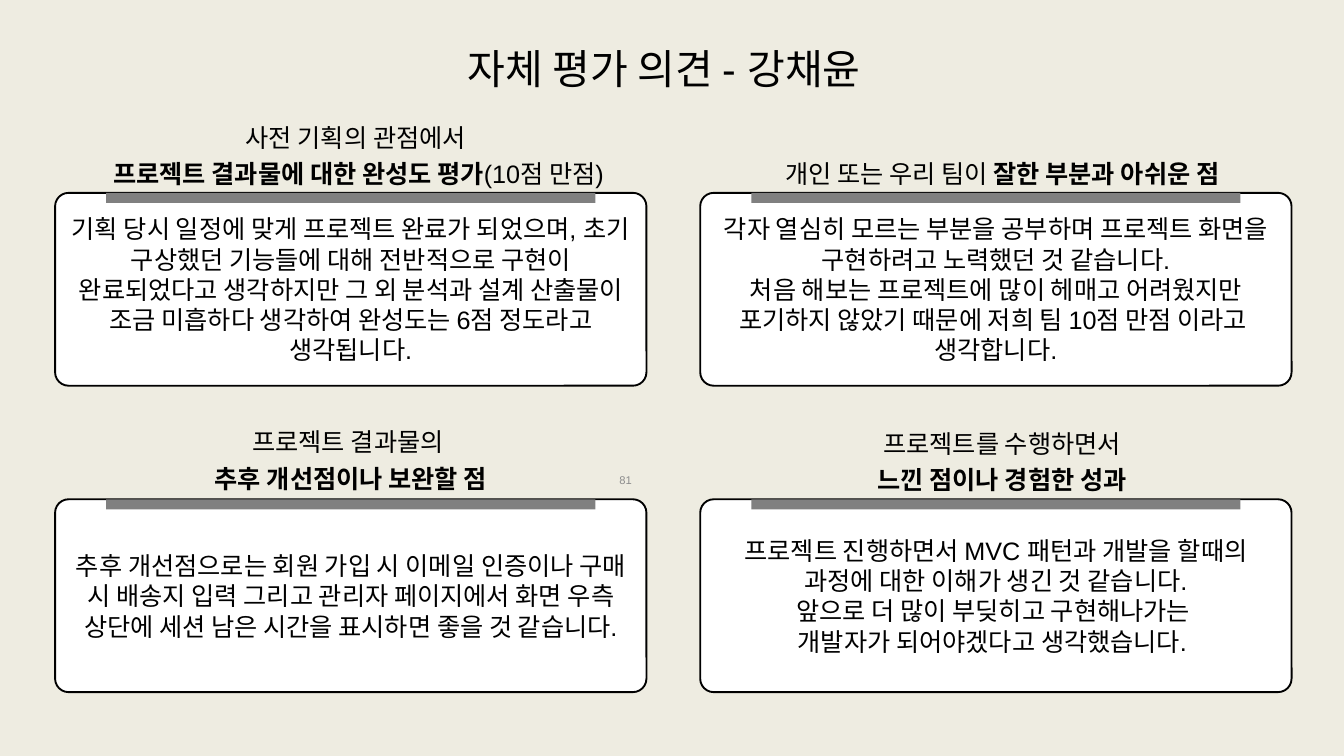
import pptx
import pptx.util
import pptx.dml.color
import pptx.enum.shapes
import pptx.enum.text

Inches = pptx.util.Inches
Pt = pptx.util.Pt
RGBColor = pptx.dml.color.RGBColor
Shape = pptx.enum.shapes.MSO_SHAPE
Align = pptx.enum.text.PP_ALIGN
Anchor = pptx.enum.text.MSO_ANCHOR

BEIGE = RGBColor(0xEE, 0xEC, 0xE1)
BLACK = RGBColor(0, 0, 0)
WHITE = RGBColor(255, 255, 255)
GREY = RGBColor(0x80, 0x80, 0x80)
LIGHT_GREY = RGBColor(0x8C, 0x8C, 0x8C)

PANEL_WIDTH, PANEL_HEIGHT = 8.8, 2.87
BAR_WIDTH, BAR_HEIGHT = 7.28, 0.15
COLUMNS = (0.82, 10.42)
ROWS = (2.87, 7.43)

OPINIONS = [
    (0, 0, (1.19, 1.68, 8.29, 1.14), 1.2,
     [[("사전 기획의 관점에서 ", False)],
      [("프로젝트 결과물에 대한 완성도 평가", True), ("(10점 만점)", False)]],
     ["기획 당시 일정에 맞게 프로젝트 완료가 되었으며, 초기 구상했던 기능들에 대해 "
      "전반적으로 구현이 완료되었다고 생각하지만 그 외 분석과 설계 산출물이 조금 "
      "미흡하다 생각하여 완성도는 6점 정도라고 생각됩니다."]),
    (0, 1, (1.43, 6.21, 7.58, 1.14), 1.2,
     [[("프로젝트 결과물의 ", False)],
      [("추후 개선점이나 보완할 점", True)]],
     ["추후 개선점으로는 회원 가입 시 이메일 인증이나 구매 시 배송지 입력 그리고 "
      "관리자 페이지에서 화면 우측 상단에 세션 남은 시간을 표시하면 좋을 것 같습니다."]),
    (1, 1, (11.12, 6.23, 7.58, 1.14), 1.2,
     [[("프로젝트를 수행하면서", False)],
      [("느낀 점이나 경험한 성과", True)]],
     ["프로젝트 진행하면서 MVC 패턴과 개발을 할때의 과정에 대한 이해가 생긴 것 같습니다.",
      "앞으로 더 많이 부딪히고 구현해나가는 ",
      "개발자가 되어야겠다고 생각했습니다. "]),
    (1, 0, (10.82, 2.26, 8.19, 0.56), 1.1,
     [[("개인 또는 우리 팀이 ", False), ("잘한 부분과 아쉬운 점", True)]],
     ["각자 열심히 모르는 부분을 공부하며 프로젝트 화면을 구현하려고 노력했던 것 같습니다.",
      "처음 해보는 프로젝트에 많이 헤매고 어려웠지만",
      "포기하지 않았기 때문에 저희 팀 10점 만점 이라고 ",
      "생각합니다."]),
]


def set_all(target, values):
    for attribute, value in values.items():
        setattr(target, attribute, value)


def write(shape, paragraphs, size=27, color=BLACK, align=Align.CENTER,
          anchor=Anchor.MIDDLE, spacing=None):
    frame = shape.text_frame
    set_all(frame, {"word_wrap": True, "vertical_anchor": anchor})
    for index, runs in enumerate(paragraphs):
        paragraph = frame.add_paragraph() if index else frame.paragraphs[0]
        set_all(paragraph, {"alignment": align, "line_spacing": spacing})
        for text, bold in runs:
            run = paragraph.add_run()
            run.text = text
            set_all(run.font, {"name": "Arial", "size": Pt(size), "bold": bold})
            run.font.color.rgb = color


def add_text(slide, box, paragraphs, **text_format):
    write(slide.shapes.add_textbox(*map(Inches, box)), paragraphs, **text_format)


def add_block(slide, preset, box, fill):
    block = slide.shapes.add_shape(preset, *map(Inches, box))
    block.shadow.inherit = False
    block.fill.solid()
    block.fill.fore_color.rgb = fill
    block.line.fill.background()
    return block


def add_opinion(slide, box, heading_box, spacing, heading, body):
    left, top, width, height = box
    panel = add_block(slide, Shape.ROUNDED_RECTANGLE, box, WHITE)
    panel.adjustments[0] = 0.07
    panel.line.color.rgb = BLACK
    panel.line.width = Pt(2)
    write(panel, [[(text, False)] for text in body])
    bar_left = left + (width - BAR_WIDTH) / 2
    add_block(slide, Shape.RECTANGLE, (bar_left, top, BAR_WIDTH, BAR_HEIGHT), GREY)
    add_text(slide, heading_box, heading, anchor=Anchor.TOP, spacing=spacing)


def main():
    deck = pptx.Presentation()
    set_all(deck, {"slide_width": Inches(20), "slide_height": Inches(11.25)})
    slide = deck.slides.add_slide(deck.slide_layouts[6])
    slide.background.fill.solid()
    slide.background.fill.fore_color.rgb = BEIGE

    add_text(slide, (0.68, 0.59, 18.41, 0.85),
             [[("자체 평가 의견 - 강채윤", False)]], size=44)
    add_text(slide, (7.17, 6.95, 2.33, 0.4), [[("81", False)]],
             size=12, color=LIGHT_GREY, align=Align.RIGHT)
    for column, row, heading_box, spacing, heading, body in OPINIONS:
        box = (COLUMNS[column], ROWS[row], PANEL_WIDTH, PANEL_HEIGHT)
        add_opinion(slide, box, heading_box, spacing, heading, body)
    deck.save("out.pptx")


if __name__ == "__main__":
    main()
